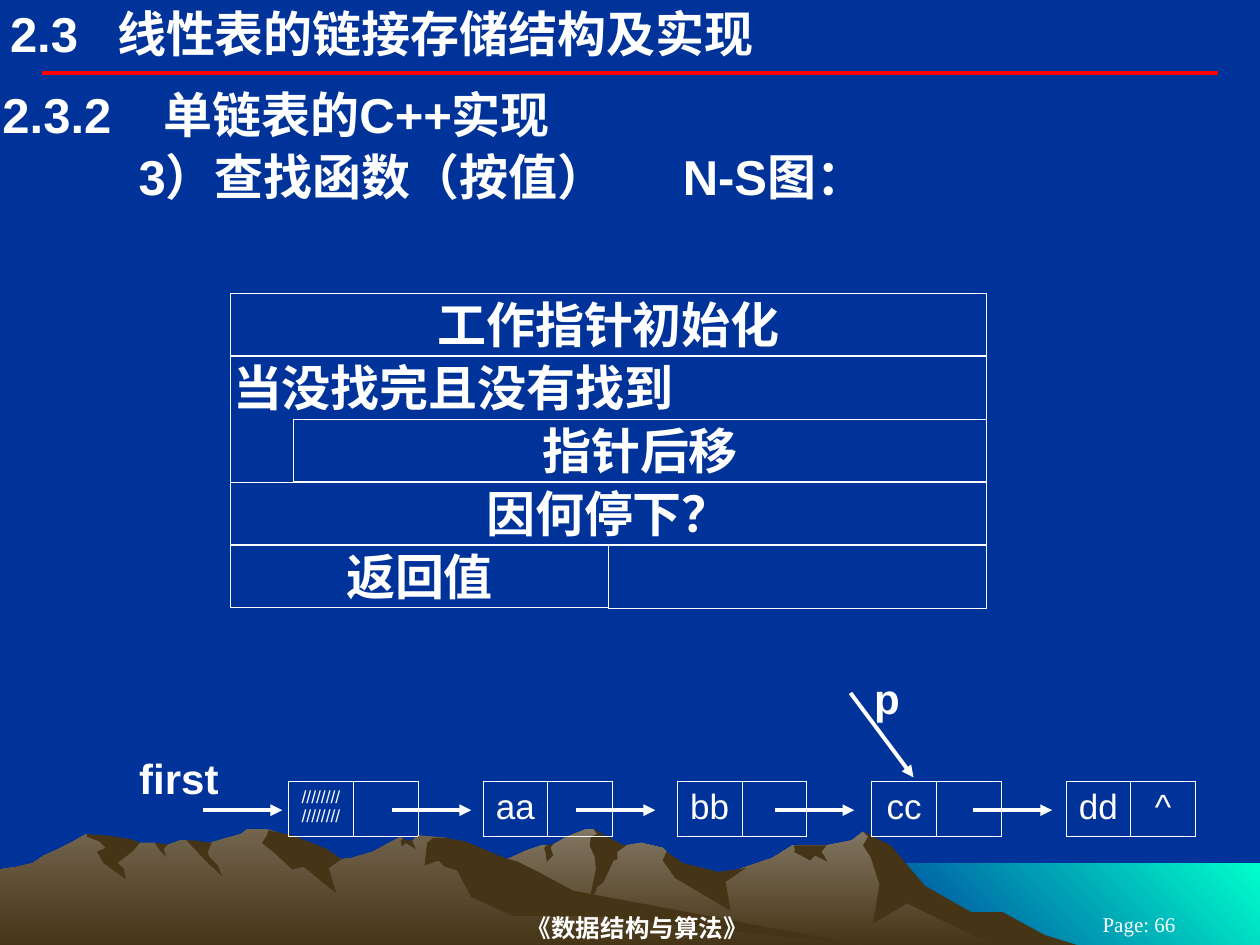
from lxml import etree
from pptx import Presentation
from pptx import util as u
from pptx.dml.color import RGBColor
from pptx.enum import shapes, text
from pptx.oxml import ns

EMU_PER_PX = 9144
WHITE, NAVY, RED, BROWN = "FFFFFF", "003399", "FF0000", "463416"
LEFT, CENTER = text.PP_ALIGN.LEFT, text.PP_ALIGN.CENTER
TOP, MIDDLE = text.MSO_ANCHOR.TOP, text.MSO_ANCHOR.MIDDLE

SEA = [(1000, 752), (683, 752), (683, 685), (1000, 685)]
RIGHT_RANGE = [
    (802, 740), (778, 727), (764, 723), (723, 698), (702, 671), (685, 660), (676, 667),
    (656, 671), (629, 671), (613, 681), (566, 697), (536, 690), (529, 676), (526, 673),
    (509, 669), (497, 671), (486, 673), (474, 661), (471, 658), (465, 658), (450, 664),
    (438, 671), (430, 671), (418, 675), (405, 681), (394, 685), (355, 698), (327, 709),
    (277, 739), (258, 751), (821, 751)]
LEFT_RANGE = [
    (690, 751), (667, 748), (432, 712), (354, 665), (331, 663), (327, 668), (323, 668),
    (318, 664), (296, 676), (279, 681), (271, 682), (260, 676), (236, 681), (223, 663),
    (219, 660), (212, 658), (196, 658), (191, 662), (180, 665), (160, 671), (148, 667),
    (143, 667), (132, 671), (128, 671), (123, 669), (111, 669), (94, 671), (68, 662),
    (56, 669), (46, 674), (35, 679), (26, 685), (14, 688), (0, 690), (0, 751)]
RIGHT_SHADOWS = [
    [(796, 724), (771, 724), (734, 703), (707, 671), (685, 660), (689, 664), (685, 671),
     (691, 680), (698, 702), (693, 733), (720, 717), (792, 752), (858, 751), (829, 742)],
    [(471, 658), (474, 662), (469, 664), (468, 671), (472, 680), (473, 690), (465, 727),
     (474, 704), (479, 700), (487, 683), (490, 682), (490, 676), (497, 671), (493, 670)],
    [(529, 676), (526, 683), (536, 697), (580, 723), (576, 700), (592, 689), (570, 692),
     (542, 685)],
    [(650, 671), (630, 671), (631, 675), (630, 676), (643, 683), (647, 679), (657, 684),
     (652, 676), (656, 671)],
    [(433, 677), (432, 673), (434, 671), (439, 670), (437, 673), (439, 679), (434, 684)]]
LEFT_SHADOWS = [
    [(212, 663), (208, 669), (219, 678), (232, 690), (241, 688), (267, 709), (261, 689),
     (271, 682), (260, 674), (245, 668), (232, 663), (213, 659)],
    [(370, 668), (354, 665), (344, 665), (339, 669), (337, 687), (348, 683), (353, 688),
     (363, 691), (374, 712), (407, 727), (472, 727), (690, 751), (455, 707), (427, 692),
     (411, 684), (401, 681), (386, 675)],
    [(318, 667), (320, 666), (318, 664), (323, 667), (327, 667), (330, 674), (322, 669),
     (319, 672)],
    [(154, 667), (168, 669), (165, 676), (166, 680), (173, 687), (176, 695), (165, 685),
     (148, 667)],
    [(133, 670), (130, 674), (132, 680), (127, 675), (123, 669)],
    [(109, 668), (111, 669), (105, 676), (93, 685), (98, 689), (100, 698), (82, 685),
     (77, 676), (84, 673), (79, 668), (69, 664), (69, 662), (84, 663), (104, 666)]]


def px(length):
    return u.Emu(length * EMU_PER_PX)


def color(value):
    return RGBColor.from_string(value)


def write(paragraph, content, size, align, bold=False, font="Arial", tabs=()):
    paragraph.text = content
    paragraph.alignment = align
    if tabs:
        tab_list = etree.SubElement(paragraph._p.get_or_add_pPr(), ns.qn("a:tabLst"))
        for position in tabs:
            etree.SubElement(tab_list, ns.qn("a:tab"), pos=str(px(position)), algn="l")
    paragraph.font.name = font
    paragraph.font.size = u.Pt(size)
    paragraph.font.bold = bold
    paragraph.font.color.rgb = color(WHITE)


def set_frame(frame, side=2, edge=1, anchor=TOP):
    frame.word_wrap = True
    frame.vertical_anchor = anchor
    frame.margin_left = frame.margin_right = px(side)
    frame.margin_top = frame.margin_bottom = px(edge)


def add_label(slide, box, content, size, align=LEFT, bold=True, font="Arial",
              tabs=(), **frame):
    label = slide.shapes.add_textbox(*map(px, box))
    set_frame(label.text_frame, **frame)
    write(label.text_frame.paragraphs[0], content, size, align, bold, font, tabs)


def add_outline(slide, points, colors, angle=0):
    builder = slide.shapes.build_freeform(*points[0], scale=EMU_PER_PX)
    builder.add_line_segments(points[1:], close=True)
    shape = builder.convert_to_shape()
    shape.shadow.inherit = False
    shape.line.fill.background()
    if len(colors) == 1:
        shape.fill.solid()
        shape.fill.fore_color.rgb = color(colors[0])
        return
    shape.fill.gradient()
    shape.fill.gradient_angle = 360 - angle
    for stop, value in zip(shape.fill.gradient_stops, colors):
        stop.color.rgb = color(value)


def add_line(slide, start, end, stroke=WHITE, arrow=True):
    line = slide.shapes.add_connector(
        shapes.MSO_CONNECTOR.STRAIGHT, *map(px, start + end))
    line.line.color.rgb = color(stroke)
    line.line.width = u.Pt(2.25)
    properties = line._element.spPr
    if arrow:
        etree.SubElement(properties.find(ns.qn("a:ln")), ns.qn("a:tailEnd"), type="triangle")
    etree.SubElement(properties, ns.qn("a:effectLst"))


def add_block(slide, box, content="", align=CENTER, fill=None):
    block = slide.shapes.add_shape(shapes.MSO_SHAPE.RECTANGLE, *map(px, box))
    block.shadow.inherit = False
    block.line.color.rgb = color(WHITE)
    block.line.width = u.Pt(0.75)
    if fill:
        block.fill.solid()
        block.fill.fore_color.rgb = color(fill)
    else:
        block.fill.background()
    set_frame(block.text_frame)
    if content:
        write(block.text_frame.paragraphs[0], content, 28, align, True)


def set_borders(cell, open_sides=()):
    properties = cell._tc.get_or_add_tcPr()
    for side in "LRTB":
        border = etree.SubElement(properties, ns.qn("a:ln" + side), w=str(u.Pt(0.45)))
        if side in open_sides:
            etree.SubElement(border, ns.qn("a:noFill"))
        else:
            fill = etree.SubElement(border, ns.qn("a:solidFill"))
            etree.SubElement(fill, ns.qn("a:srgbClr"), val=WHITE)


def add_node_table(slide, box, values):
    count = len(values) * 3 - 1
    table = slide.shapes.add_table(1, count, *map(px, box)).table
    table.first_row = table.horz_banding = False
    contents = {index * 3: value for index, value in enumerate(values)}
    contents[count - 1] = "^"
    for index, column in enumerate(table.columns):
        column.width = px(box[2]) // count
        cell = table.cell(0, index)
        set_borders(cell, "TB" if index % 3 == 2 else "")
        cell.fill.background()
        content = contents.get(index, "")
        write(cell.text_frame.paragraphs[0], content, 10 if "/" in content else 20, CENTER)


def add_scenery(slide):
    add_outline(slide, SEA, ["00FFCC", NAVY], 135)
    add_outline(slide, RIGHT_RANGE, ["837763", BROWN], 90)
    for points in RIGHT_SHADOWS:
        add_outline(slide, points, [BROWN])
    add_outline(slide, LEFT_RANGE, ["72644E", BROWN], 90)
    for points in LEFT_SHADOWS:
        add_outline(slide, points, [BROWN])
    add_line(slide, (33, 58), (967, 58), RED, arrow=False)
    serif = "Times New Roman"
    add_label(slide, (203, 722, 606, 28), "《数据结构与算法》", 14, CENTER, font=serif,
              side=0, anchor=MIDDLE)
    add_label(slide, (825, 725, 158, 17), "Page: 66", 12, CENTER, False, serif,
              side=10, edge=5, anchor=MIDDLE)


def main():
    presentation = Presentation()
    presentation.slide_width, presentation.slide_height = px(1000), px(750)
    slide = presentation.slides.add_slide(presentation.slide_layouts[6])
    slide.background.fill.solid()
    slide.background.fill.fore_color.rgb = color(NAVY)
    add_scenery(slide)

    add_label(slide, (8, 3, 650, 47), "2.3\t线性表的链接存储结构及实现", 28,
              tabs=[85], side=0, edge=0)
    add_label(slide, (0, 66, 1000, 49), "2.3.2\t单链表的C++实现", 28, tabs=[128])
    add_label(slide, (0, 115, 1000, 49), "\t3）查找函数（按值）\tN-S图：", 28, tabs=[108, 540])

    add_node_table(slide, (229, 620, 720, 43), ["/" * 16, "aa", "bb", "cc", "dd"])
    for left in (161, 311, 457, 615, 772):
        add_line(slide, (left, 643), (left + 63, 643))
    add_label(slide, (83, 596, 118, 42), "first", 24, CENTER)
    add_label(slide, (675, 533, 58, 42), "p", 24, CENTER)
    add_line(slide, (675, 550), (725, 617))

    add_block(slide, (183, 233, 600, 49), "工作指针初始化")
    add_block(slide, (183, 283, 600, 100), "当没找完且没有找到", LEFT)
    add_block(slide, (233, 333, 550, 49), "指针后移", fill=NAVY)
    add_block(slide, (183, 383, 600, 49), "因何停下？")
    add_block(slide, (183, 433, 300, 49), "返回值")
    add_block(slide, (483, 433, 300, 50))
    presentation.save("out.pptx")


if __name__ == "__main__":
    main()
